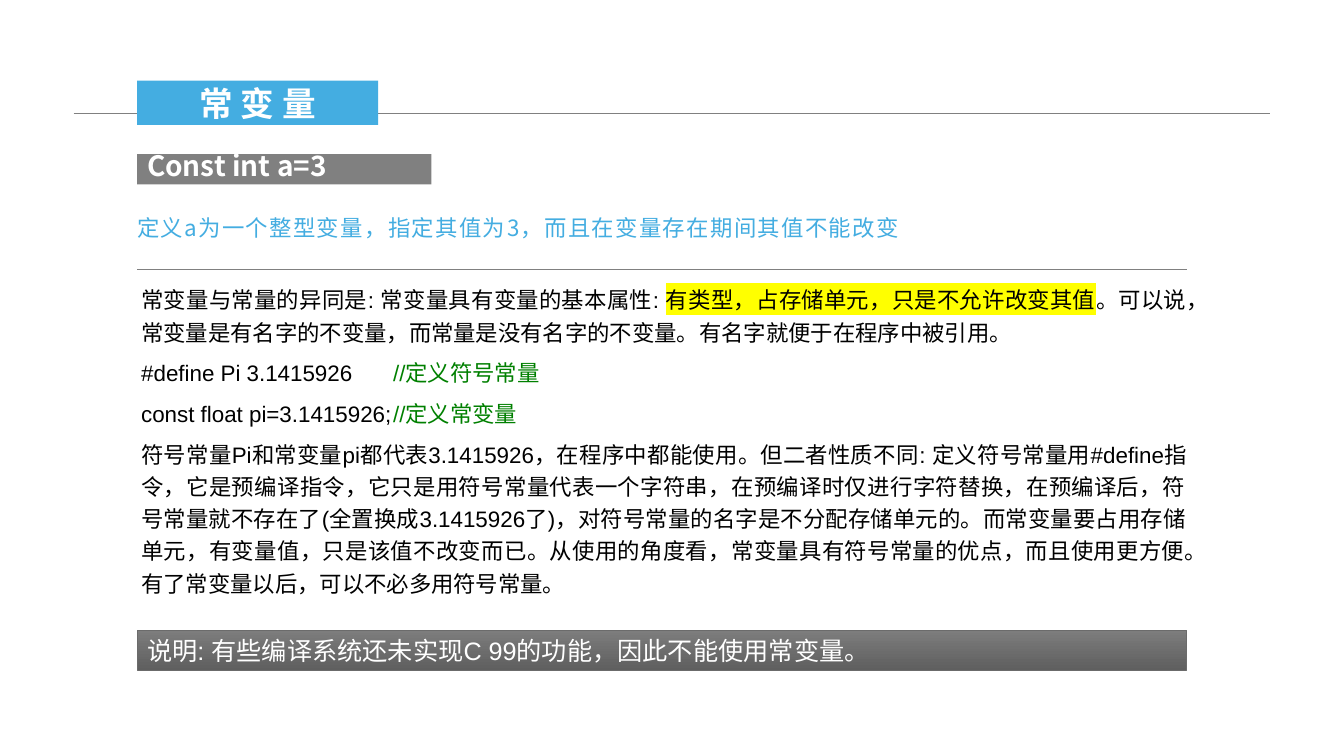
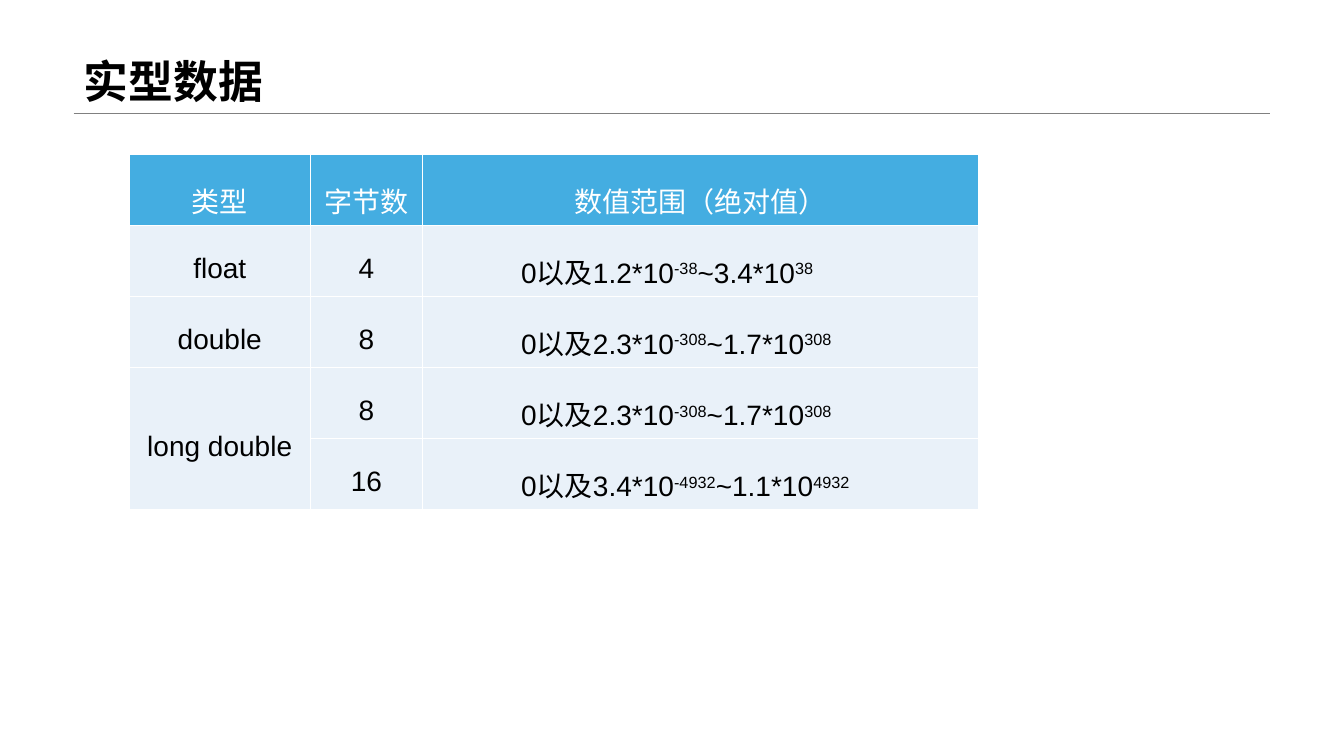
from dataclasses import dataclass, replace
from typing import NamedTuple, Optional

from lxml.etree import SubElement
from pptx import Presentation
from pptx.dml.color import RGBColor
from pptx.enum.lang import MSO_LANGUAGE_ID as Language
from pptx.enum.shapes import MSO_CONNECTOR as Connector, MSO_SHAPE as Shape
from pptx.enum.text import MSO_ANCHOR as Anchor, MSO_AUTO_SIZE as AutoSize, PP_ALIGN as Align
from pptx.oxml import parse_xml
from pptx.oxml.ns import nsdecls, qn
from pptx.util import Emu, Pt

EMU_PER_PX = 9144

BLUE = RGBColor(0x44, 0xAD, 0xE1)
GREY = RGBColor(0x80, 0x80, 0x80)
NOTE_TOP = RGBColor(0x7D, 0x7D, 0x7D)
NOTE_BOTTOM = RGBColor(0x5F, 0x5F, 0x5F)
NOTE_EDGE = RGBColor(0x6B, 0x6B, 0x6B)
PALE = RGBColor(0xE9, 0xF1, 0xF9)
GREEN = RGBColor(0x00, 0x80, 0x00)
YELLOW = RGBColor(0xFF, 0xFF, 0x00)
BLACK = RGBColor(0x00, 0x00, 0x00)
WHITE = RGBColor(0xFF, 0xFF, 0xFF)

LATIN = "Arial"
CJK = "Noto Sans CJK SC"

LEFT, WIDTH = 136, 1041
TAB_STOP = 300


class Area(NamedTuple):
    left: int
    top: int
    width: int
    height: int


class Insets(NamedTuple):
    left: int
    top: int
    right: int
    bottom: int


NO_INSETS = Insets(0, 0, 0, 0)
USUAL_INSETS = Insets(10, 5, 10, 5)


@dataclass(frozen=True)
class Style:
    size: int
    color: RGBColor = BLACK
    font: str = LATIN
    bold: bool = False
    highlight: Optional[RGBColor] = None
    spacing: int = 0
    baseline: int = 0


class Span(NamedTuple):
    text: str
    style: Style


class Row(NamedTuple):
    kind: str
    size: str
    low: str
    low_power: str
    high: str
    high_power: str


BODY = Style(16)
COMMENT = replace(BODY, color=GREEN)
MARKED = replace(BODY, highlight=YELLOW)
CELL = Style(20)
HEADER = replace(CELL, color=WHITE)
POWER = replace(CELL, baseline=30000)

PARAGRAPHS = [
    [
        Span("常变量与常量的异同是: 常变量具有变量的基本属性: ", BODY),
        Span("有类型，占存储单元，只是不允许改变其值", MARKED),
        Span("。可以说，常变量是有名字的不变量，而常量是没有名字的不变量。"
             "有名字就便于在程序中被引用。", BODY),
    ],
    [Span("#define Pi 3.1415926\t", BODY), Span("//定义符号常量", COMMENT)],
    [Span("const float pi=3.1415926;\t", BODY), Span("//定义常变量", COMMENT)],
    [
        Span("符号常量Pi和常变量pi都代表3.1415926，在程序中都能使用。但二者性质不同: "
             "定义符号常量用#define指令，它是预编译指令，它只是用符号常量代表一个字符串，"
             "在预编译时仅进行字符替换，在预编译后，符号常量就不存在了(全置换成3.1415926了)，"
             "对符号常量的名字是不分配存储单元的。而常变量要占用存储单元，有变量值，"
             "只是该值不改变而已。从使用的角度看，常变量具有符号常量的优点，而且使用更方便。"
             "有了常变量以后，可以不必多用符号常量。", BODY),
    ],
]

HEADINGS = ["类型", "字节数", "数值范围（绝对值）"]
COLUMN_WIDTHS = [180, 111, 552]
ROW_HEIGHT = 54
ROWS = [
    Row("float", "4", "1.2", "-38", "3.4", "38"),
    Row("double", "8", "2.3", "-308", "1.7", "308"),
    Row("long double", "8", "2.3", "-308", "1.7", "308"),
    Row("", "16", "3.4", "-4932", "1.1", "4932"),
]


def px(value: int) -> Emu:
    return Emu(value * EMU_PER_PX)


def place(box, area: Area) -> None:
    box.left, box.top, box.width, box.height = map(px, area)


def set_frame(box, insets: Insets, anchor: Anchor) -> None:
    frame = box.text_frame
    frame.word_wrap = True
    frame.auto_size = AutoSize.NONE
    frame.vertical_anchor = anchor
    (frame.margin_left, frame.margin_top,
     frame.margin_right, frame.margin_bottom) = map(px, insets)


def format_run(run, style: Style) -> None:
    font = run.font
    font.size = Pt(style.size)
    font.bold = style.bold
    font.name = style.font
    font.color.rgb = style.color
    font.language_id = Language.SIMPLIFIED_CHINESE
    properties = run._r.get_or_add_rPr()
    properties.find(qn("a:latin")).addnext(
        parse_xml(f'<a:ea {nsdecls("a")} typeface="{CJK}"/>'))
    if style.highlight is not None:
        properties.find(qn("a:solidFill")).addnext(parse_xml(
            f'<a:highlight {nsdecls("a")}><a:srgbClr val="{style.highlight}"/></a:highlight>'))
    if style.spacing:
        properties.set("spc", str(style.spacing))
    if style.baseline:
        properties.set("baseline", str(style.baseline))


def write(para, spans: list[Span], align: Align = Align.LEFT, line_spacing: float = 1.0) -> None:
    para.alignment = align
    para.line_spacing = line_spacing
    para.space_before = Pt(0)
    for span in spans:
        run = para.add_run()
        run.text = span.text
        format_run(run, span.style)


def add_line(page, left: int, right: int, y: int):
    line = page.shapes.add_connector(Connector.STRAIGHT, px(left), px(y), px(right), px(y))
    line.line.color.rgb = GREY
    line.line.width = Pt(0.25)
    SubElement(line._element.spPr, qn("a:effectLst"))
    return line


def add_bar(page, area: Area, insets: Insets, span: Span, align: Align):
    bar = page.shapes.add_shape(Shape.RECTANGLE, *map(px, area))
    bar.shadow.inherit = False
    bar.fill.solid()
    bar.fill.fore_color.rgb = GREY
    bar.line.fill.background()
    set_frame(bar, insets, Anchor.MIDDLE)
    write(bar.text_frame.paragraphs[0], [span], align)
    return bar


def fill_body(body) -> None:
    place(body, Area(LEFT, 267, WIDTH, 345))
    set_frame(body, Insets(4, 12, 0, 0), Anchor.TOP)
    frame = body.text_frame
    for index, spans in enumerate(PARAGRAPHS):
        para = frame.paragraphs[0] if index == 0 else frame.add_paragraph()
        para.space_after = Pt(6)
        properties = para._p.get_or_add_pPr()
        properties.set("marL", "0")
        properties.set("indent", "0")
        SubElement(properties, qn("a:buNone"))
        tabs = SubElement(properties, qn("a:tabLst"))
        SubElement(tabs, qn("a:tab"), pos=str(px(TAB_STOP)), algn="l")
        write(para, spans, Align.JUSTIFY, 1.2)


def build_constant_page(deck):
    page = deck.slides.add_slide(deck.slide_layouts[1])
    title = page.shapes.title
    place(title, Area(LEFT, 80, 239, 44))
    title.fill.solid()
    title.fill.fore_color.rgb = BLUE
    set_frame(title, NO_INSETS, Anchor.MIDDLE)
    write(title.text_frame.paragraphs[0],
          [Span("常 变 量", Style(24, WHITE, CJK, True))], Align.CENTER)

    add_bar(page, Area(LEFT, 153, 292, 30), Insets(10, 5, 12, 12),
            Span("Const int a=3", Style(20, WHITE, CJK, True)), Align.JUSTIFY)

    summary = page.shapes.add_textbox(*map(px, Area(LEFT, 209, 1046, 34)))
    set_frame(summary, NO_INSETS, Anchor.MIDDLE)
    write(summary.text_frame.paragraphs[0],
          [Span("定义a为一个整型变量，指定其值为3，而且在变量存在期间其值不能改变",
                Style(16, BLUE, CJK, spacing=100))])

    add_line(page, LEFT, LEFT + WIDTH, 267)
    fill_body(page.placeholders[1])

    note = add_bar(page, Area(LEFT, 625, WIDTH, 40), USUAL_INSETS,
                   Span("说明: 有些编译系统还未实现C 99的功能，因此不能使用常变量。", Style(18, WHITE)),
                   Align.LEFT)
    note.fill.gradient()
    note.fill.gradient_angle = 270
    for stop, color, position in zip(note.fill.gradient_stops, (NOTE_TOP, NOTE_BOTTOM), (0, 1)):
        stop.color.rgb = color
        stop.position = position
    note.line.color.rgb = NOTE_EDGE
    note.line.width = Pt(0.5)
    return page


def format_cell(cell, spans: list[Span], fill: RGBColor, align: Align, side_margin: int) -> None:
    cell.vertical_anchor = Anchor.MIDDLE
    cell.margin_left = cell.margin_right = px(side_margin)
    cell.margin_top = cell.margin_bottom = px(5)
    cell.fill.solid()
    cell.fill.fore_color.rgb = fill
    properties = cell._tc.get_or_add_tcPr()
    for index, side in enumerate("LRTB"):
        properties.insert(index, parse_xml(
            f'<a:ln{side} {nsdecls("a")} w="{Pt(1)}"><a:solidFill>'
            f'<a:srgbClr val="{WHITE}"/></a:solidFill></a:ln{side}>'))
    write(cell.text_frame.paragraphs[0], spans, align, 1.5)


def range_spans(row: Row) -> list[Span]:
    return [
        Span(f"0以及{row.low}*10", CELL),
        Span(row.low_power, POWER),
        Span(f"~{row.high}*10", CELL),
        Span(row.high_power, POWER),
    ]


def build_real_page(deck) -> None:
    page = deck.slides.add_slide(deck.slide_layouts[5])
    title = page.shapes.title
    place(title, Area(73, 0, 1187, 112))
    set_frame(title, USUAL_INSETS, Anchor.BOTTOM)
    write(title.text_frame.paragraphs[0],
          [Span("实型数据", Style(32, BLACK, CJK, True))], line_spacing=0.9)

    area = Area(128, 153, sum(COLUMN_WIDTHS), ROW_HEIGHT * (len(ROWS) + 1))
    table = page.shapes.add_table(len(ROWS) + 1, len(HEADINGS), *map(px, area)).table
    for column, width in zip(table.columns, COLUMN_WIDTHS):
        column.width = px(width)
    for index, heading in enumerate(HEADINGS):
        format_cell(table.cell(0, index), [Span(heading, HEADER)], BLUE, Align.CENTER, 10)
    for index, row in enumerate(ROWS, start=1):
        kind = [Span(row.kind, CELL)] if row.kind else []
        format_cell(table.cell(index, 0), kind, PALE, Align.CENTER, 10)
        format_cell(table.cell(index, 1), [Span(row.size, CELL)], PALE, Align.CENTER, 10)
        format_cell(table.cell(index, 2), range_spans(row), PALE, Align.JUSTIFY, 98)
    table.cell(3, 0).merge(table.cell(4, 0))


def main() -> None:
    deck = Presentation()
    deck.slide_width, deck.slide_height = px(1333), px(750)
    page = build_constant_page(deck)
    title_rule = add_line(page, 73, 1260, 112)
    deck.slide_master.shapes._spTree.append(title_rule._element)
    build_real_page(deck)
    deck.save("out.pptx")


if __name__ == "__main__":
    main()
